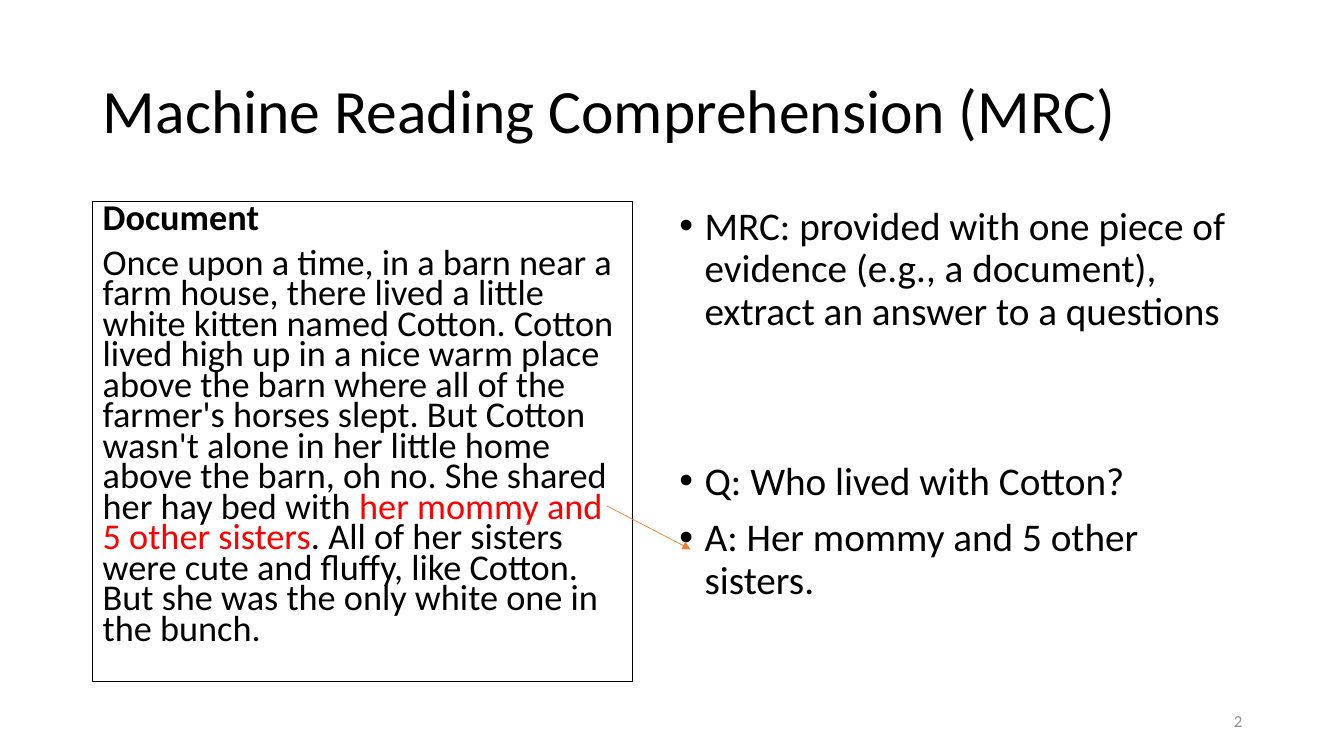
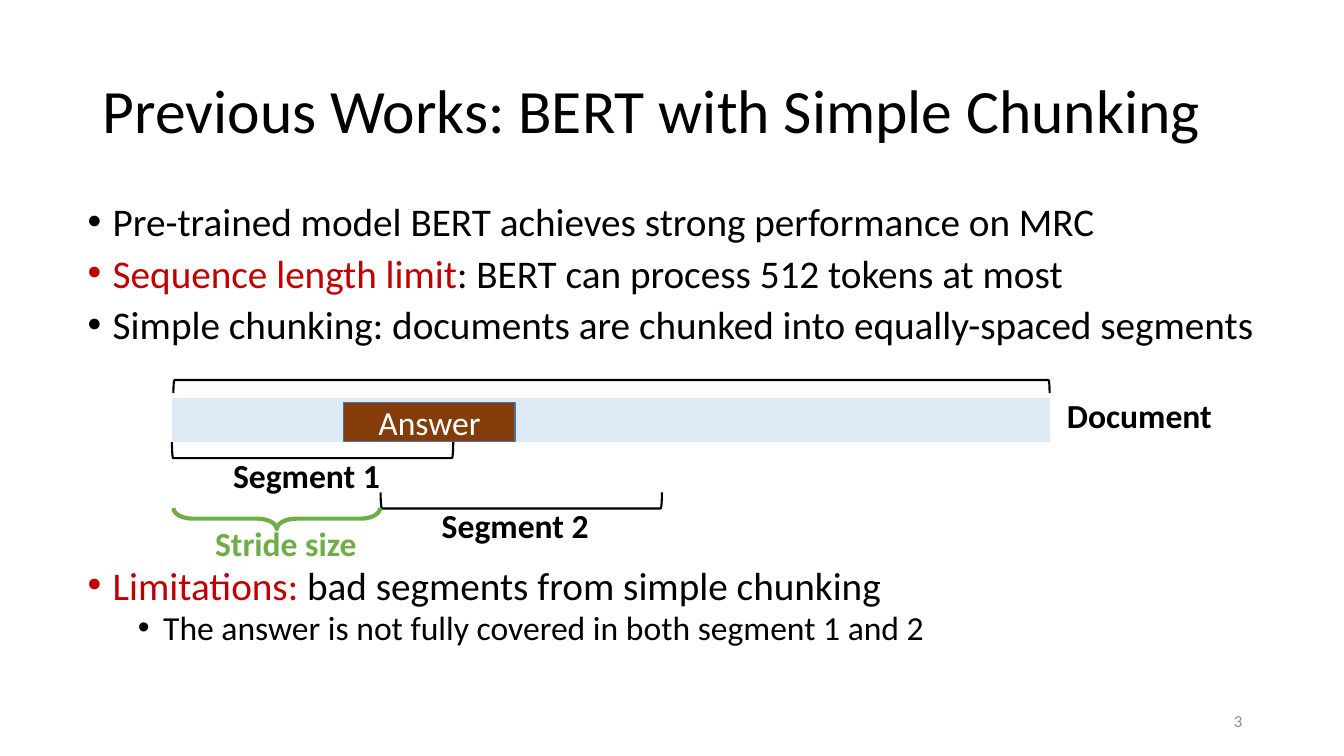
from lxml import etree
from pptx import Presentation
from pptx.dml.color import RGBColor
from pptx.enum.shapes import MSO_CONNECTOR, MSO_SHAPE
from pptx.enum.text import MSO_ANCHOR, PP_ALIGN
from pptx.oxml.ns import qn
from pptx.util import Inches, Pt

LEFT, CENTER, RIGHT = PP_ALIGN.LEFT, PP_ALIGN.CENTER, PP_ALIGN.RIGHT
TOP, MIDDLE = MSO_ANCHOR.TOP, MSO_ANCHOR.MIDDLE
RECT, PROCESS = MSO_SHAPE.RECTANGLE, MSO_SHAPE.FLOWCHART_PROCESS
BRACKET, BRACE = MSO_SHAPE.LEFT_BRACKET, MSO_SHAPE.LEFT_BRACE
STRAIGHT = MSO_CONNECTOR.STRAIGHT

FONT = "Calibri"
BLACK, WHITE, GRAY = "000000", "FFFFFF", "8C8C8C"
RED, DARK_RED, GREEN, ORANGE = "FF0000", "C00000", "70AD47", "ED7D31"
PALE_BLUE, BLUE, BROWN = "DEEBF7", "43739E", "843C0B"


def write(sp, paragraphs, size, color=BLACK, bold=False, anchor=TOP, bullet=False, **form):
    """Fill a shape with paragraphs: (runs, overrides), each run (text, overrides)."""
    tf = sp.text_frame
    tf.word_wrap, tf.vertical_anchor = True, anchor
    for i, (runs, own) in enumerate(paragraphs):
        p = tf.add_paragraph() if i else tf.paragraphs[0]
        for name, value in {**form, **own}.items():
            setattr(p, name, value)
        if bullet:
            pPr = p._p.get_or_add_pPr()
            pPr.set("marL", str(Inches(0.25 + 0.5 * p.level)))
            pPr.set("indent", str(Inches(-0.25)))
            etree.SubElement(pPr, qn("a:buFont")).set("typeface", "Arial")
            etree.SubElement(pPr, qn("a:buChar")).set("char", "•")
        for text, look in runs:
            r = p.add_run()
            r.text = text
            font = {"name": FONT, "size": Pt(size), "bold": bold, **look}
            r.font.color.rgb = RGBColor.from_string(font.pop("color", color))
            for name, value in font.items():
                setattr(r.font, name, value)


def add_shape(s, kind, box, line, width, fill=None, rotation=0):
    """Add a flat preset shape with the given outline and optional fill."""
    sp = s.shapes.add_shape(kind, *map(Inches, box))
    sp.shadow.inherit = False
    sp.rotation = rotation
    sp.line.color.rgb = RGBColor.from_string(line)
    sp.line.width = Pt(width)
    if fill:
        sp.fill.solid()
        sp.fill.fore_color.rgb = RGBColor.from_string(fill)
    else:
        sp.fill.background()
    return sp


prs = Presentation()
prs.slide_width, prs.slide_height = Inches(13.33), Inches(7.5)

# Shared frame: title and slide number
slides = []
titles = ["Machine Reading Comprehension (MRC)", "Previous Works: BERT with Simple Chunking"]
for number, title in enumerate(titles, start=2):
    s = prs.slides.add_slide(prs.slide_layouts[5])
    sp = s.shapes.title
    sp.left, sp.top, sp.width, sp.height = map(Inches, (0.92, 0.4, 11.5, 1.45))
    write(sp, [([(title, {})], {})], 44, anchor=MIDDLE, alignment=LEFT, line_spacing=0.9)
    sp = s.shapes.add_textbox(*map(Inches, (9.42, 6.95, 3, 0.4)))
    write(sp, [([(str(number), {})], {})], 12, GRAY, anchor=MIDDLE, alignment=RIGHT)
    slides.append(s)
reading, chunking = slides

# Reading comprehension: task on the right, sample document on the left
sp = reading.shapes.add_textbox(*map(Inches, (6.64, 2, 5.78, 4.76)))
write(sp, [
    ([("MRC: provided with one piece of evidence (e.g., a document), "
       "extract an answer to a questions", {})], {}),
    ([("Q: Who lived with Cotton?", {})], {"space_before": Pt(91.5)}),
    ([("A: Her mommy and 5 other sisters.", {})], {}),
], 28, bullet=True, line_spacing=0.9, space_before=Pt(10))

sp = add_shape(reading, RECT, (0.92, 2, 5.35, 4.76), BLACK, 0.75)
write(sp, [
    ([("Document", {"bold": True})], {}),
    ([("Once upon a time, in a barn near a farm house, there lived a little white kitten "
       "named Cotton. Cotton lived high up in a nice warm place above the barn where all "
       "of the farmer's horses slept. But Cotton wasn't alone in her little home above "
       "the barn, oh no. She shared her hay bed with", {}),
      (" her mommy and 5 other sisters", {"color": RED}),
      (". All of her sisters were cute and fluffy, like Cotton. "
       "But she was the only white one in the bunch.", {})], {}),
], 25.9, alignment=LEFT, line_spacing=0.7, space_before=Pt(10))

arrow = reading.shapes.add_connector(STRAIGHT, *map(Inches, (6.02, 5.02, 6.85, 5.45)))
arrow.line.color.rgb = RGBColor.from_string(ORANGE)
arrow.line.width = Pt(0.5)
etree.SubElement(arrow.line._get_or_add_ln(), qn("a:tailEnd")).set("type", "triangle")
etree.SubElement(arrow._element.spPr, qn("a:effectLst"))

# Simple chunking: bullets around the diagram
sp = chunking.shapes.add_textbox(*map(Inches, (0.77, 2, 11.83, 4.76)))
write(sp, [
    ([("Pre-trained model BERT achieves strong performance on MRC", {})], {}),
    ([("Sequence length limit", {"color": DARK_RED}),
      (": BERT can process 512 tokens at most", {})], {}),
    ([("Simple chunking: documents are chunked into equally-spaced segments", {})], {}),
    ([("Limitations: ", {"color": DARK_RED}),
      ("bad segments from simple chunking", {})], {"space_before": Pt(159)}),
    ([("The answer is not fully covered in both segment 1 and 2", {"size": Pt(24)})],
     {"level": 1, "space_before": Pt(5)}),
], 28, bullet=True, line_spacing=0.8, space_before=Pt(10))

# Document bar with the answer span
add_shape(chunking, PROCESS, (1.71, 3.96, 8.7, 0.42), PALE_BLUE, 1, PALE_BLUE)
answer = add_shape(chunking, PROCESS, (3.41, 3.99, 1.7, 0.39), BLUE, 1, BROWN)
write(answer, [([("Answer", {})], {})], 24, WHITE, anchor=MIDDLE, alignment=CENTER)

# Brackets: whole document above, two overlapping segments and the stride below
add_shape(chunking, BRACKET, (6, -0.51, 0.13, 8.69), BLACK, 1.5, rotation=90)
labels = [("Document", 10.19, 3.87, 2.22, BLACK), ("Stride size", 1.95, 5.14, 1.77, GREEN)]
for i in range(2):
    dx, dy = 2.07 * i, 0.5 * i
    add_shape(chunking, BRACKET, (3.02 + dx, 3.07 + dy, 0.16, 2.79), BLACK, 1.5, rotation=270)
    labels.append((f"Segment {i + 1}", 1.93 + dx, 4.46 + dy, 2.22, BLACK))
stride = add_shape(chunking, BRACE, (2.64, 4.12, 0.21, 2.05), GREEN, 3, rotation=270)
stride.adjustments[0] = 0.908

for text, left, top, width, color in labels:
    sp = chunking.shapes.add_textbox(*map(Inches, (left, top, width, 0.5)))
    write(sp, [([(text, {})], {})], 24, color, bold=True, alignment=CENTER)

prs.save("out.pptx")
